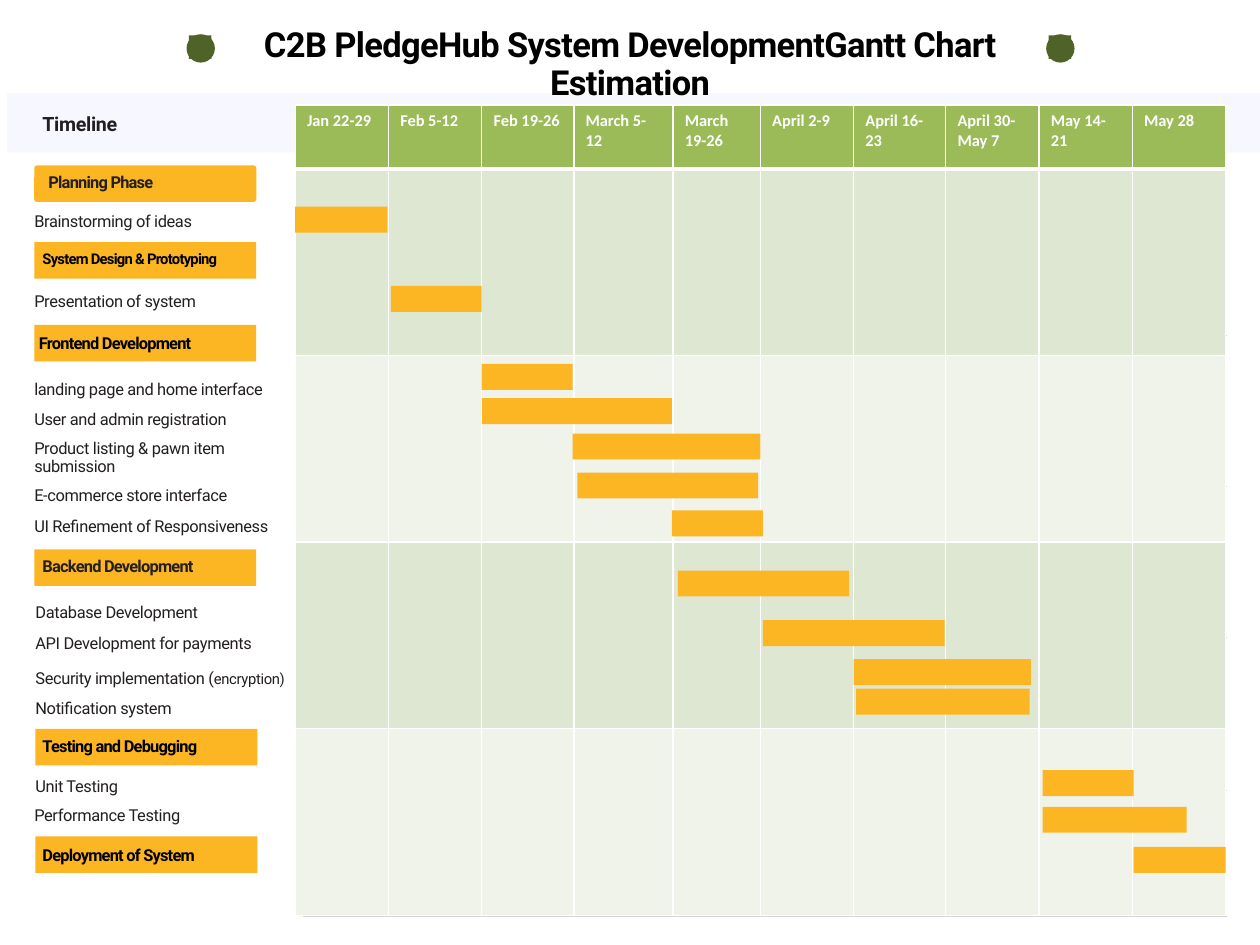
from dataclasses import dataclass

from lxml import etree
from pptx import Presentation
from pptx.dml.color import RGBColor
from pptx.enum.shapes import MSO_CONNECTOR, MSO_SHAPE
from pptx.enum.text import MSO_ANCHOR, MSO_AUTO_SIZE, PP_ALIGN
from pptx.oxml.ns import qn
from pptx.util import Pt

PX = 9144  # 100 px to the inch
RECT, ROUNDED, OVAL = MSO_SHAPE.RECTANGLE, MSO_SHAPE.ROUNDED_RECTANGLE, MSO_SHAPE.OVAL
STRAIGHT = MSO_CONNECTOR.STRAIGHT
LEFT, CENTER = PP_ALIGN.LEFT, PP_ALIGN.CENTER
TOP = MSO_ANCHOR.TOP
NO_AUTOFIT = MSO_AUTO_SIZE.NONE


@dataclass(frozen=True)
class Theme:
    font: str = "Roboto"
    table_font: str = "Calibri"
    black: str = "000000"
    ink: str = "231F20"
    white: str = "FFFFFF"
    band: str = "F7F7FF"
    amber: str = "FCB624"
    olive: str = "4F6228"
    rule: str = "D5D5D5"
    header: str = "9BBB59"
    row_dark: str = "DEE7D1"
    row_light: str = "EFF3EA"
    title_size: int = 21
    timeline_size: int = 12
    body_size: int = 10
    small_size: int = 9


THEME = Theme()


def add_block(kind, x, y, w, h, color):
    block = slide.shapes.add_shape(kind, x * PX, y * PX, w * PX, h * PX)
    block.shadow.inherit = False
    block.fill.solid()
    block.fill.fore_color.rgb = RGBColor.from_string(color)
    block.line.fill.background()
    return block


def write_text(frame, text, size=THEME.body_size, color=THEME.ink, bold=False,
               font=THEME.font, tracking=0, leading=None, align=LEFT,
               inset=0, small_tail=""):
    """Fill a frame, one paragraph a line; small_tail is a last, smaller run."""
    frame.word_wrap = True
    if inset is not None:
        frame.margin_left = frame.margin_right = inset
        frame.margin_top = frame.margin_bottom = inset
    for number, line in enumerate(text.split("\n")):
        paragraph = frame.add_paragraph() if number else frame.paragraphs[0]
        paragraph.alignment = align
        if leading:
            paragraph.line_spacing = Pt(leading)
        for words, points in ((line, size), (small_tail, THEME.small_size)):
            if not words:
                continue
            run = paragraph.add_run()
            run.text = words
            run.font.size = Pt(points)
            run.font.name = font
            run.font.bold = bold
            run.font.color.rgb = RGBColor.from_string(color)
            if tracking:
                run.font._element.set("spc", str(tracking))


prs = Presentation()
prs.slide_width, prs.slide_height = 1067 * PX, 800 * PX
slide = prs.slides.add_slide(prs.slide_layouts[5])

# Title on top of the header band, between two dots
title = slide.shapes.title
title.left, title.top, title.width, title.height = 194 * PX, 22 * PX, 679 * PX, 65 * PX
title.text_frame.auto_size = NO_AUTOFIT
title.text_frame.vertical_anchor = TOP
write_text(title.text_frame, "C2B PledgeHub System DevelopmentGantt Chart\nEstimation",
           size=THEME.title_size, color=THEME.black, bold=True, tracking=-40,
           leading=23.3, align=CENTER)
header_band = add_block(RECT, 6, 79, 1067, 50, THEME.band)
title.element.addprevious(header_band.element)

for dot_x in (158, 886):
    add_block(OVAL, dot_x, 29, 24, 24, THEME.olive)
    add_block(RECT, dot_x + 2, 30, 19, 20, THEME.olive)

timeline = slide.shapes.add_textbox(36 * PX, 96 * PX, 170 * PX, 18 * PX)
write_text(timeline.text_frame, "Timeline", size=THEME.timeline_size, bold=True,
           tracking=-20, leading=13.3)

# Phases: name, bar kind, bar x, bar y, text x, text y, size, colour
phases = [
    ("Planning Phase", ROUNDED, 29, 140, 41, 147, THEME.body_size, THEME.ink),
    ("System Design & Prototyping", RECT, 29, 205, 36, 211, THEME.small_size, THEME.black),
    ("Frontend Development", RECT, 29, 275, 33, 283, THEME.body_size, THEME.black),
    ("Backend Development", RECT, 29, 465, 36, 472, THEME.body_size, THEME.ink),
    ("Testing and Debugging", RECT, 30, 617, 36, 624, THEME.body_size, THEME.black),
    ("Deployment of System", RECT, 30, 708, 36, 717, THEME.body_size, THEME.black),
]
for name, kind, bar_x, bar_y, text_x, text_y, size, color in phases:
    phase_bar = add_block(kind, bar_x, bar_y, 188, 31, THEME.amber)
    if kind == ROUNDED:
        phase_bar.adjustments[0] = 0.08
    label = slide.shapes.add_textbox(text_x * PX, text_y * PX, 175 * PX, 16 * PX)
    write_text(label.text_frame, name, size=size, color=color, bold=True,
               tracking=-45, leading=11.1)

# Tasks: name, x, y, smaller ending
tasks = [
    ("Brainstorming of ideas", 29, 180, ""),
    ("Presentation of system", 29, 248, ""),
    ("landing page and home interface", 29, 322, ""),
    ("User and admin registration", 29, 348, ""),
    ("Product listing & pawn item submission", 29, 372, ""),
    ("E-commerce store interface", 29, 412, ""),
    ("UI Refinement of Responsiveness", 29, 438, ""),
    ("Database Development", 30, 511, ""),
    ("API Development for payments", 30, 537, ""),
    ("Security implementation (", 30, 567, "encryption)"),
    ("Notification system", 30, 592, ""),
    ("Unit Testing", 30, 658, ""),
    ("Performance Testing", 29, 683, ""),
]
for name, x, y, ending in tasks:
    label = slide.shapes.add_textbox(x * PX, y * PX, 228 * PX, 16 * PX)
    write_text(label.text_frame, name, tracking=-20, leading=11.1, small_tail=ending)

# Rules behind the calendar
for y in (284, 412, 540, 669, 776):
    rule = slide.shapes.add_connector(STRAIGHT, 257 * PX, y * PX, 1039 * PX, y * PX)
    rule.line.color.rgb = RGBColor.from_string(THEME.rule)
    rule.line.width = Pt(0.75)
    etree.SubElement(rule.element.spPr, qn("a:effectLst"))

# Calendar grid
weeks = ["Jan 22-29", "Feb 5-12", "Feb 19-26", "March 5-12", "March 19-26",
         "April 2-9", "April 16-23", "April 30-May 7", "May 14-21", "May 28"]
week_widths = [79, 79, 78, 84, 74, 79, 78, 79, 79, 79]
row_heights = [54] + [158] * 4
row_fills = [THEME.header] + [THEME.row_dark, THEME.row_light] * 2
calendar = slide.shapes.add_table(len(row_heights), len(weeks), 250 * PX, 89 * PX,
                                  sum(week_widths) * PX, sum(row_heights) * PX).table
for column, width in zip(calendar.columns, week_widths):
    column.width = width * PX
for r, (row, height) in enumerate(zip(calendar.rows, row_heights)):
    row.height = height * PX
    for c, cell in enumerate(row.cells):
        cell_format = cell._tc.get_or_add_tcPr()
        for side in ("lnL", "lnR", "lnT", "lnB"):
            thick = (r, side) in ((0, "lnB"), (1, "lnT"))
            border = etree.SubElement(cell_format, qn(f"a:{side}"), w=str(Pt(3 if thick else 1)))
            paint = etree.SubElement(border, qn("a:solidFill"))
            etree.SubElement(paint, qn("a:srgbClr"), val=THEME.white)
        cell.fill.solid()
        cell.fill.fore_color.rgb = RGBColor.from_string(row_fills[r])
        if r == 0:
            write_text(cell.text_frame, weeks[c], color=THEME.white, bold=True,
                       font=THEME.table_font, inset=None)

# Task bars: x, y, width
task_bars = [
    (250, 175, 78), (331, 242, 77), (408, 308, 77), (408, 337, 161), (485, 367, 159),
    (489, 400, 153), (569, 432, 77), (574, 483, 145), (646, 525, 154), (723, 558, 150),
    (725, 583, 147), (883, 652, 77), (883, 683, 122), (960, 717, 78),
]
for x, y, width in task_bars:
    add_block(RECT, x, y, width, 22, THEME.amber)

prs.save("out.pptx")
